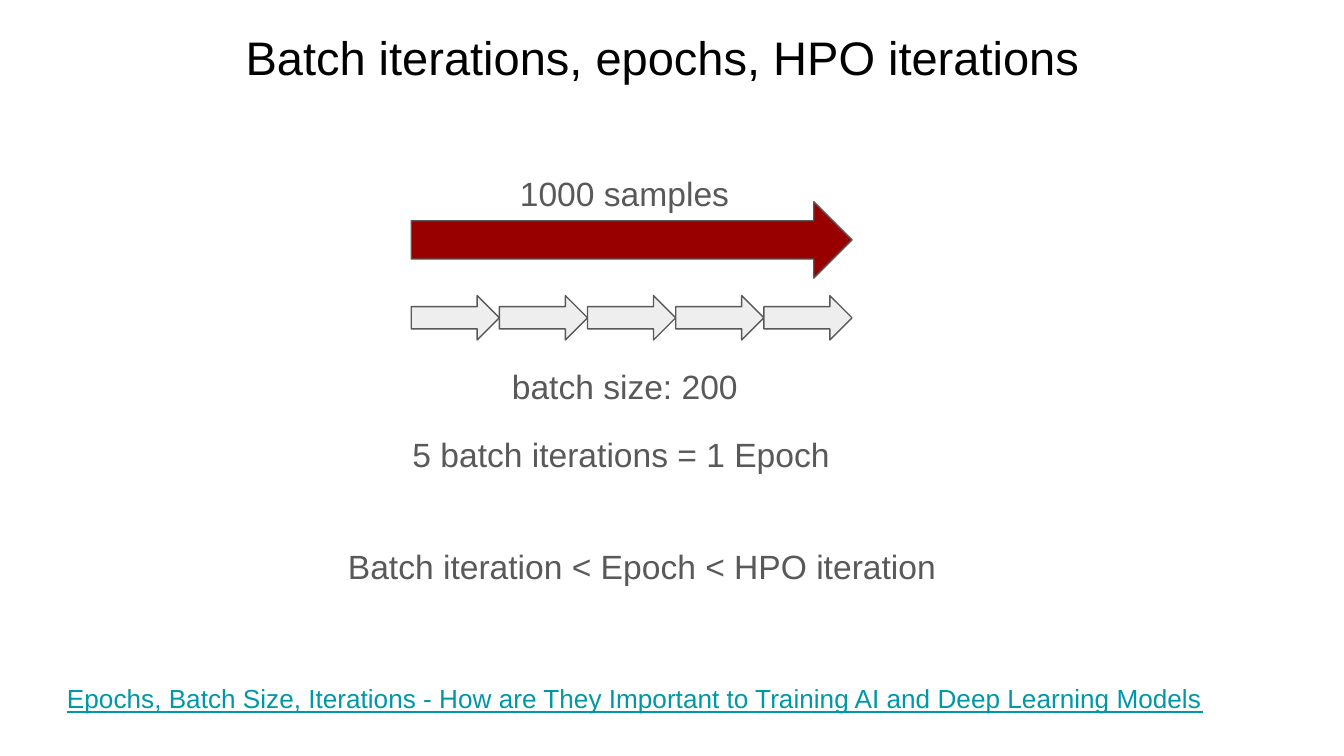
from pptx import Presentation
from pptx import util as u
from pptx.dml.color import RGBColor
from pptx.enum import shapes, text

PX = 9144  # EMU per px, 100 px to the inch
PAGE_WIDTH = 1000
BLACK = RGBColor(0x00, 0x00, 0x00)
GREY = RGBColor(0x59, 0x59, 0x59)
PALE = RGBColor(0xEE, 0xEE, 0xEE)
RED = RGBColor(0x98, 0x00, 0x00)
TEAL = RGBColor(0x00, 0x97, 0xA7)

LABEL = {"name": "Arial", "size": u.Pt(18)}
HEADING = {"name": "Arial", "size": u.Pt(25.2)}
SOURCE = {"name": "Arial", "size": u.Pt(14), "underline": True}


def emu(box):
    return [round(length * PX) for length in box]


def add_label(page, box, words, style=LABEL, color=GREY,
              align=text.PP_ALIGN.LEFT, anchor=text.MSO_ANCHOR.TOP):
    frame = page.shapes.add_textbox(*emu(box)).text_frame
    frame.word_wrap = True
    frame.vertical_anchor = anchor
    for side in ("left", "top", "right", "bottom"):
        setattr(frame, f"margin_{side}", 10 * PX)
    para = frame.paragraphs[0]
    para.alignment = align
    span = para.add_run()
    span.text = words
    for name, value in style.items():
        setattr(span.font, name, value)
    span.font.color.rgb = color


def add_arrow(page, box, fill):
    arrow = page.shapes.add_shape(shapes.MSO_SHAPE.RIGHT_ARROW, *emu(box))
    arrow.shadow.inherit = False
    arrow.fill.solid()
    arrow.fill.fore_color.rgb = fill
    arrow.line.color.rgb = GREY
    arrow.line.width = u.Pt(0.75)


def add_epoch_diagram(page, box, batches):
    """One long arrow for all samples above a row of equal batch arrows."""
    left, top, width, height = box
    batch_width, batch_height = width / batches, 33
    add_arrow(page, (left, top, width, 57), RED)
    for index in range(batches):
        add_arrow(page, (left + index * batch_width, top + height - batch_height,
                         batch_width, batch_height), PALE)
    add_label(page, (left + 71, top - 31, 296, 57), "1000 samples")
    add_label(page, (left + 65, top + height + 9, 331, 36), "batch size: 200")


def add_summary(page, box):
    left, top, width, height = box
    add_label(page, (left + 48, top, 391, 50), "5 batch iterations = 1 Epoch")
    add_label(page, (left, top + height - 50, width, 50),
              "Batch iteration < Epoch < HPO iteration")


def main():
    deck = Presentation()
    deck.slide_width, deck.slide_height = emu((PAGE_WIDTH, PAGE_WIDTH * 9 / 16))
    page = deck.slides.add_slide(deck.slide_layouts[6])
    add_label(page, (27, 11, 932, 63), "Batch iterations, epochs, HPO iterations",
              HEADING, BLACK, text.PP_ALIGN.CENTER, text.MSO_ANCHOR.MIDDLE)
    add_label(page, (40, 498, 905, 67),
              "Epochs, Batch Size, Iterations - How are They Important to "
              "Training AI and Deep Learning Models", SOURCE, TEAL)
    add_epoch_diagram(page, (306, 150, 328, 103), batches=5)
    add_summary(page, (249, 313, 741, 133))
    deck.save("out.pptx")


if __name__ == "__main__":
    main()
